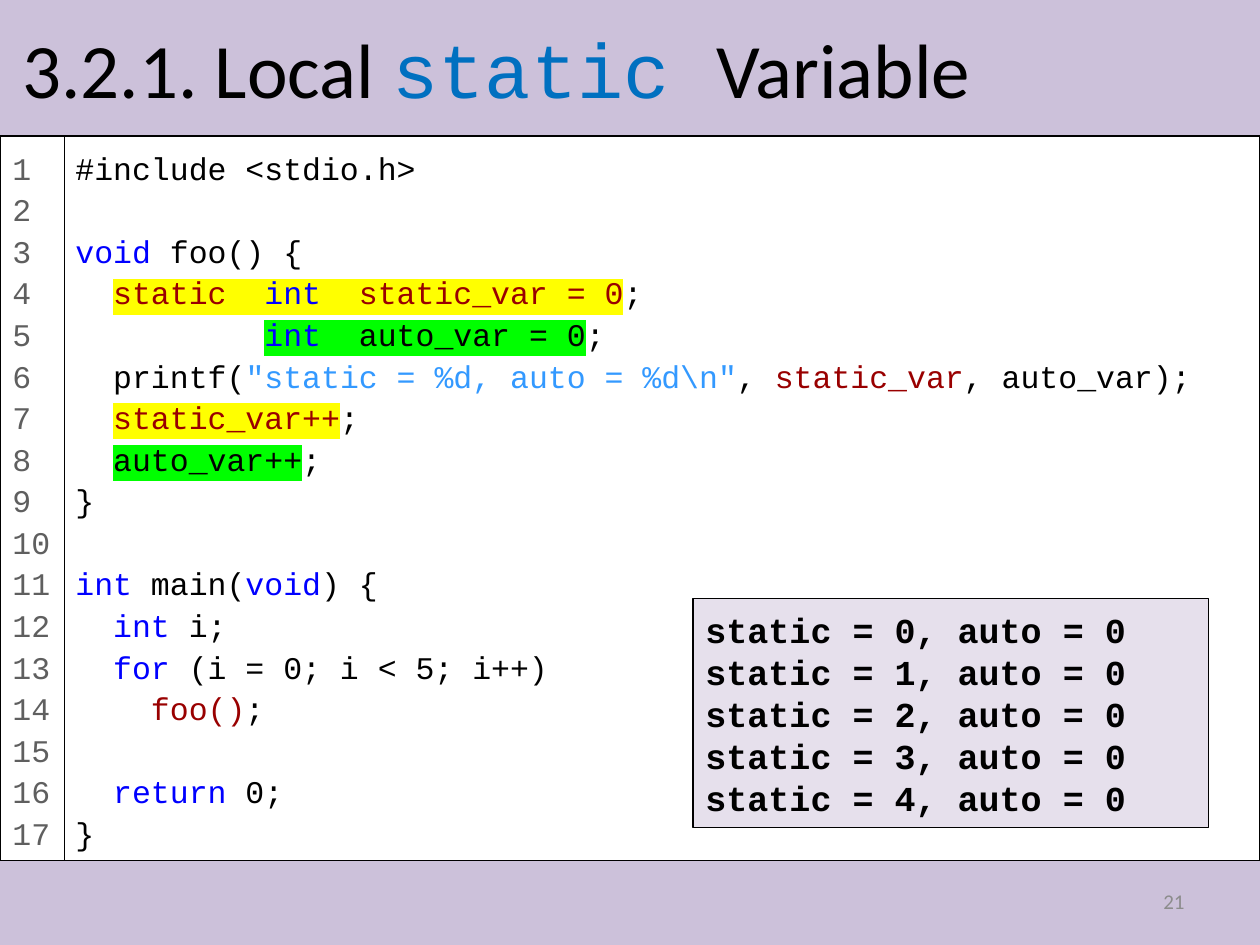
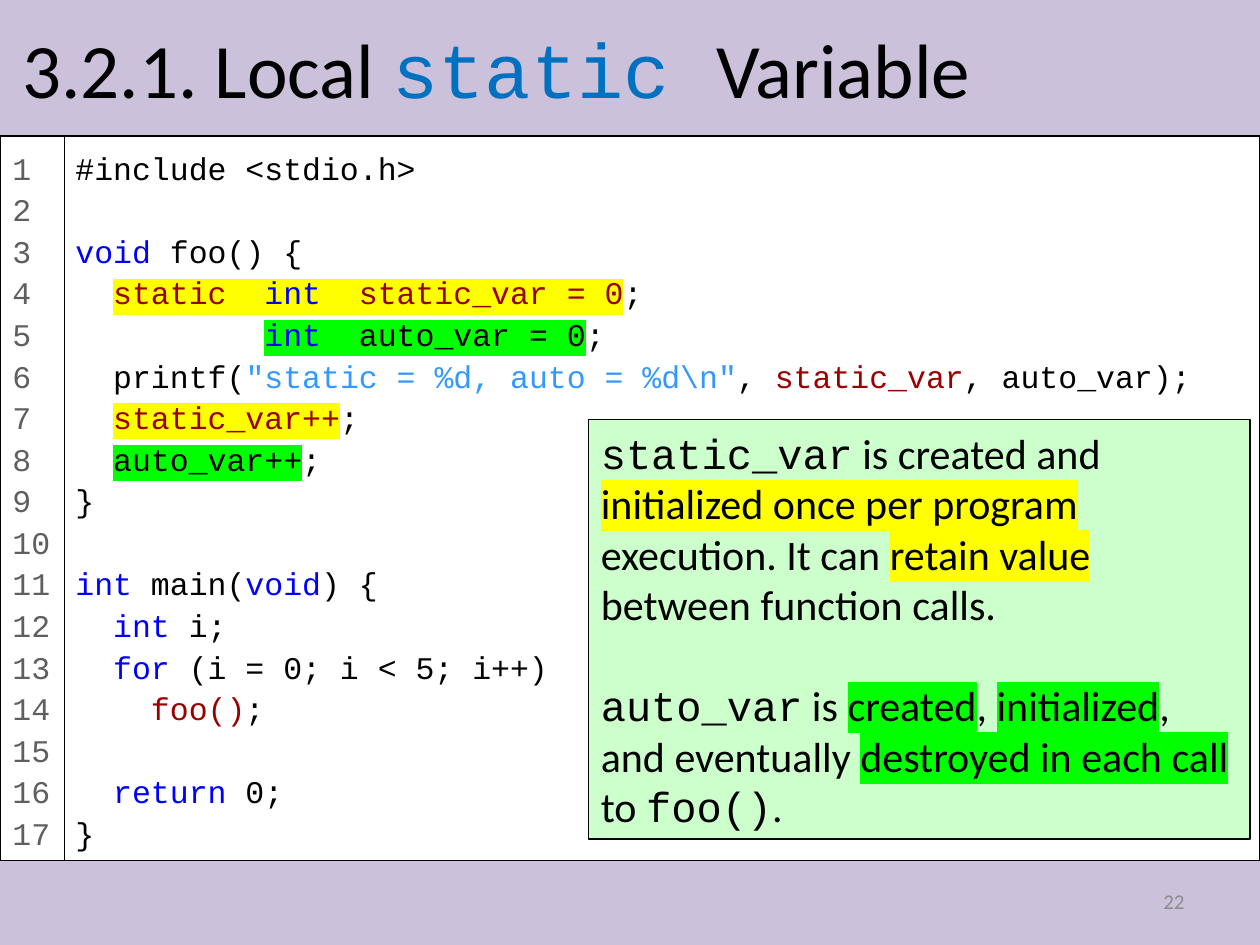
from lxml import etree
from pptx import Presentation
from pptx.dml.color import RGBColor
from pptx.enum.shapes import MSO_SHAPE
from pptx.enum.text import MSO_ANCHOR, PP_ALIGN
from pptx.oxml.ns import qn
from pptx.util import Inches, Pt

RECTANGLE = MSO_SHAPE.RECTANGLE
MIDDLE = MSO_ANCHOR.MIDDLE
LEFT, RIGHT = PP_ALIGN.LEFT, PP_ALIGN.RIGHT

THEME = {
    "band": "CCC1DA", "paper": "FFFFFF", "line": "000000",
    "output": "E6E0EC", "note": "CCFFCC",
    "yellow": "FFFF00", "green": "00FF00",
    "body_font": "Calibri", "code_font": "Courier New",
    "title_size": 44, "code_size": 18, "output_size": 20,
    "note_size": 24, "number_size": 12,
}
BODY, CODE = THEME["body_font"], THEME["code_font"]
YELLOW, GREEN = THEME["yellow"], THEME["green"]

STYLES = {
    "plain": ("000000", None, CODE),
    "keyword": ("0000FF", None, CODE),
    "static": ("990000", None, CODE),
    "string": ("3399FF", None, CODE),
    "number": ("5F5F5F", None, CODE),
    "static mark": ("990000", YELLOW, CODE),
    "plain on yellow": ("000000", YELLOW, CODE),
    "keyword on yellow": ("0000FF", YELLOW, CODE),
    "auto mark": ("000000", GREEN, CODE),
    "keyword on green": ("0000FF", GREEN, CODE),
    "title code": ("0070C0", None, CODE),
    "body": ("000000", None, BODY),
    "body on yellow": ("000000", YELLOW, BODY),
    "body on green": ("000000", GREEN, BODY),
    "page": ("8C8C8C", None, BODY),
}

TITLE = [[("3.2.1. Local ", "body"), ("static ", "title code"), ("Variable", "body")]]

SOURCE_CODE = [
    [("#include <stdio.h>", "plain")],
    [],
    [("void", "keyword"), (" foo() {", "plain")],
    [("  ", "plain"), ("static", "static mark"), ("  ", "plain on yellow"),
     ("int", "keyword on yellow"), ("  ", "plain on yellow"),
     ("static_var = 0", "static mark"), (";", "plain")],
    [("          ", "keyword"), ("int", "keyword on green"),
     ("  auto_var = 0", "auto mark"), (";", "plain")],
    [("  printf(", "plain"), ("\"static = %d, auto = %d\\n\"", "string"), (", ", "plain"),
     ("static_var", "static"), (", auto_var);", "plain")],
    [("  ", "static"), ("static_var++", "static mark"), (";", "plain")],
    [("  ", "plain"), ("auto_var++", "auto mark"), (";", "plain")],
    [("}", "plain")],
    [],
    [("int", "keyword"), (" main(", "plain"), ("void", "keyword"), (") {", "plain")],
    [("  ", "plain"), ("int ", "keyword"), ("i;", "plain")],
    [("  ", "plain"), ("for", "keyword"), (" (i = 0; i < 5; i++)", "plain")],
    [("    ", "plain"), ("foo()", "static"), (";", "plain")],
    [],
    [("  ", "plain"), ("return", "keyword"), (" 0;", "plain")],
    [("}", "plain")],
]
LINE_NUMBERS = [[(str(number), "number")] for number in range(1, len(SOURCE_CODE) + 1)]
OUTPUT = [[(f"static = {call}, auto = 0", "plain")] for call in range(5)]
NOTE = [
    [("static_var", "plain"), (" is created and ", "body"),
     ("initialized once per program ", "body on yellow"), ("execution. It can ", "body"),
     ("retain value ", "body on yellow"), ("between function calls.", "body")],
    [("auto_var", "plain"), (" is ", "body"), ("created", "body on green"), (", ", "body"),
     ("initialized", "body on green"), (", and eventually ", "body"),
     ("destroyed in each call ", "body on green"), ("to ", "body"),
     ("foo()", "plain"), (".", "body")],
]


def add_panel(slide, box, fill, outlined=True):
    shape = slide.shapes.add_shape(RECTANGLE, *map(Inches, box))
    shape.shadow.inherit = False
    shape.fill.solid()
    shape.fill.fore_color.rgb = RGBColor.from_string(fill)
    if outlined:
        shape.line.color.rgb = RGBColor.from_string(THEME["line"])
        shape.line.width = Pt(0.75)
    else:
        shape.line.fill.background()
    return shape


def write_text(shape, lines, size, bold=False, gap=0, **paragraph_format):
    frame = shape.text_frame
    frame.word_wrap = True
    frame.vertical_anchor = MIDDLE
    for index, line in enumerate(lines):
        paragraph = frame.add_paragraph() if index else frame.paragraphs[0]
        for name, value in {"alignment": LEFT, **paragraph_format}.items():
            setattr(paragraph, name, value)
        if index and gap:
            paragraph.space_before = Pt(gap)
        for text, style in line:
            color, highlight, font_name = STYLES[style]
            run = paragraph.add_run()
            run.text = text
            run.font.size = Pt(size)
            run.font.bold = bold
            run.font.color.rgb = RGBColor.from_string(color)
            if highlight:
                mark = etree.SubElement(run.font._element, qn("a:highlight"))
                etree.SubElement(mark, qn("a:srgbClr"), val=highlight)
            run.font.name = font_name
        if not line:
            ending = etree.SubElement(paragraph._p, qn("a:endParaRPr"), sz=str(size * 100))
            etree.SubElement(ending, qn("a:latin"), typeface=CODE)


presentation = Presentation()
presentation.slide_width = Inches(10)
presentation.slide_height = Inches(7.5)

CALLOUTS = [
    (21, (5.5, 4.75, 4.09, 1.82), THEME["output"], OUTPUT,
     {"size": THEME["output_size"], "bold": True}),
    (22, (4.67, 3.33, 5.25, 3.33), THEME["note"], NOTE,
     {"size": THEME["note_size"], "gap": 29}),
]

for page, callout_box, callout_fill, callout_lines, callout_format in CALLOUTS:
    slide = presentation.slides.add_slide(presentation.slide_layouts[6])

    for band_top, band_height in ((0, 1.08), (6.83, 0.67)):
        add_panel(slide, (0, band_top, 10, band_height), THEME["band"], outlined=False)

    page_number = slide.shapes.add_textbox(*map(Inches, (7.17, 6.95, 2.33, 0.4)))
    write_text(page_number, [[(str(page), "page")]], THEME["number_size"], alignment=RIGHT)

    title = slide.shapes.add_textbox(*map(Inches, (0.08, 0.08, 9, 0.92)))
    write_text(title, TITLE, THEME["title_size"])

    code_panel = add_panel(slide, (0.5, 1.08, 9.5, 5.75), THEME["paper"])
    write_text(code_panel, SOURCE_CODE, THEME["code_size"], line_spacing=1.1)

    number_panel = add_panel(slide, (0, 1.08, 0.51, 5.75), THEME["paper"])
    number_panel.text_frame.margin_right = 0
    write_text(number_panel, LINE_NUMBERS, THEME["code_size"], line_spacing=1.1)

    callout = add_panel(slide, callout_box, callout_fill)
    write_text(callout, callout_lines, **callout_format)

presentation.save("out.pptx")
